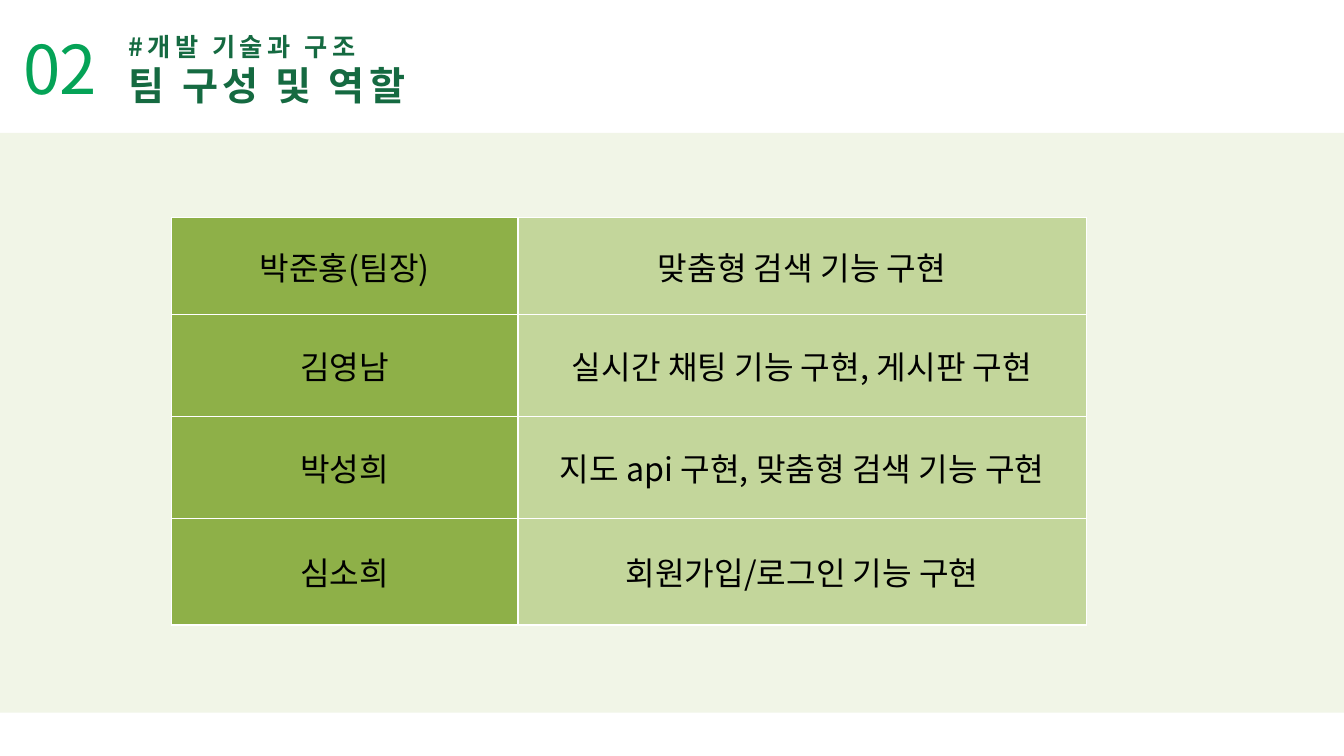
from lxml import etree
from pptx import Presentation
from pptx.dml.color import RGBColor
from pptx.enum import shapes, text
from pptx.oxml import ns
from pptx.util import Pt

FONT = "Noto Sans CJK KR"
WHITE = RGBColor(0xFF, 0xFF, 0xFF)
BLACK = RGBColor(0x00, 0x00, 0x00)
DARK_GREEN = RGBColor(0x15, 0x6A, 0x41)
BRIGHT_GREEN = RGBColor(0x05, 0xA3, 0x57)
NAME_GREEN = RGBColor(0x8E, 0xB0, 0x48)
PALE_GREEN = RGBColor(0xC3, 0xD6, 0x9B)

TEAM_ROLES = [
    ("박준홍(팀장)", "맞춤형 검색 기능 구현"),
    ("김영남", "실시간 채팅 기능 구현, 게시판 구현"),
    ("박성희", "지도 api 구현, 맞춤형 검색 기능 구현"),
    ("심소희", "회원가입/로그인 기능 구현"),
]
COLUMN_WIDTHS = [247.5, 406]
ROW_HEIGHTS = [69, 73, 73, 76]


def style_paragraph(paragraph, size, color, bold=False, spacing=0):
    """Set the font for Latin and Korean text; spacing is in points."""
    font = paragraph.font
    font.size = Pt(size)
    font.bold = bold
    font.color.rgb = color
    font.name = FONT
    properties = paragraph._p.pPr.find(ns.qn("a:defRPr"))
    if spacing:
        properties.set("spc", str(int(spacing * 100)))
    etree.SubElement(properties, ns.qn("a:ea")).set("typeface", FONT)


def add_band(slide, left, top, width, height, color, opacity):
    band = slide.shapes.add_shape(
        shapes.MSO_SHAPE.RECTANGLE, Pt(left), Pt(top), Pt(width), Pt(height))
    band.shadow.inherit = False
    band.line.fill.background()
    band.fill.solid()
    band.fill.fore_color.rgb = color
    tint = band.fill._xPr.find(".//" + ns.qn("a:srgbClr"))
    etree.SubElement(tint, ns.qn("a:alpha")).set("val", str(opacity * 1000))


def add_text(slide, left, top, width, height, lines):
    """Add a text box; each line is (wording, size, color, bold, spacing)."""
    box = slide.shapes.add_textbox(Pt(left), Pt(top), Pt(width), Pt(height))
    frame = box.text_frame
    frame.word_wrap = True
    frame.auto_size = text.MSO_AUTO_SIZE.SHAPE_TO_FIT_TEXT
    frame.text = "\n".join(line[0] for line in lines)
    for paragraph, (_, *style) in zip(frame.paragraphs, lines):
        style_paragraph(paragraph, *style)


def add_border(cell, side):
    """Draw a white 1 pt edge; side is L, R, T or B, added in that order."""
    edge = etree.SubElement(
        cell._tc.get_or_add_tcPr(), ns.qn(f"a:ln{side}"), w=str(Pt(1)))
    fill = etree.SubElement(edge, ns.qn("a:solidFill"))
    etree.SubElement(fill, ns.qn("a:srgbClr"), val=str(WHITE))


def fill_cell(cell, wording, color, inner_sides):
    for side in inner_sides:
        add_border(cell, side)
    cell.fill.solid()
    cell.fill.fore_color.rgb = color
    cell.vertical_anchor = text.MSO_ANCHOR.MIDDLE
    cell.text = wording
    paragraph = cell.text_frame.paragraphs[0]
    paragraph.alignment = text.PP_ALIGN.CENTER
    style_paragraph(paragraph, 23, BLACK)


def add_role_table(slide, left, top):
    roles = slide.shapes.add_table(
        len(TEAM_ROLES), len(COLUMN_WIDTHS), Pt(left), Pt(top),
        Pt(sum(COLUMN_WIDTHS)), Pt(sum(ROW_HEIGHTS))).table
    roles.first_row = False
    roles.horz_banding = False
    for column, width in zip(roles.columns, COLUMN_WIDTHS):
        column.width = Pt(width)
    for row, height in zip(roles.rows, ROW_HEIGHTS):
        row.height = Pt(height)
    last = len(TEAM_ROLES) - 1
    for r, (member, role) in enumerate(TEAM_ROLES):
        level_sides = ("T" if r > 0 else "") + ("B" if r < last else "")
        fill_cell(roles.cell(r, 0), member, NAME_GREEN, "R" + level_sides)
        fill_cell(roles.cell(r, 1), role, PALE_GREEN, "L" + level_sides)


def main():
    deck = Presentation()
    deck.slide_width, deck.slide_height = Pt(960), Pt(540)
    slide = deck.slides.add_slide(deck.slide_layouts[6])
    add_band(slide, 0, 95, 960, 414, PALE_GREEN, 23)
    add_text(slide, 85, 18.7, 456.5, 62.6, [
        ("#개발 기술과 구조", 18, DARK_GREEN, True, 3),
        ("팀 구성 및 역할", 28, DARK_GREEN, True, 3),
    ])
    add_text(slide, 10, 15.8, 85, 65.5, [("02", 48, BRIGHT_GREEN, False, -1.5)])
    add_role_table(slide, 122.5, 155.5)
    deck.save("out.pptx")


if __name__ == "__main__":
    main()
